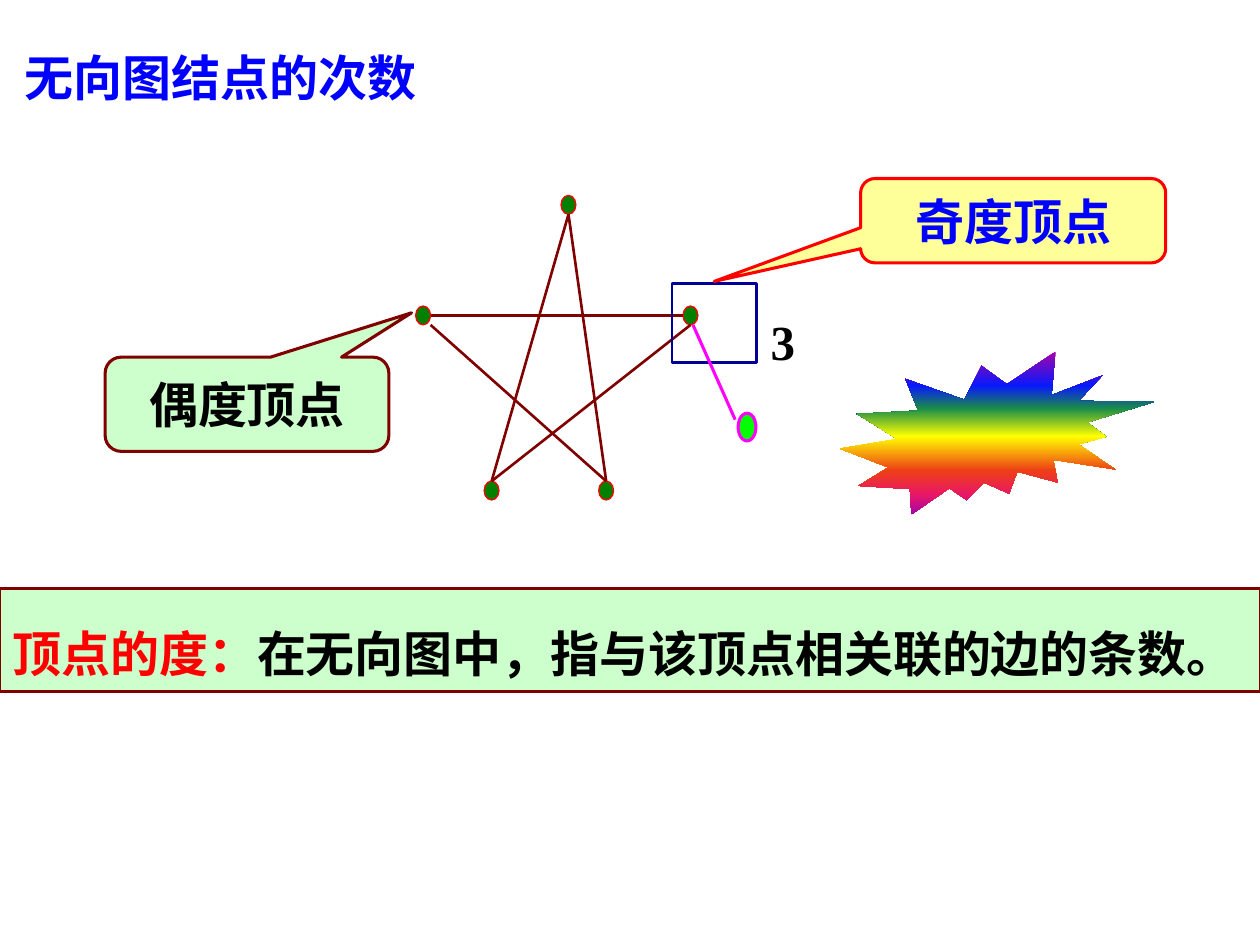
from lxml.etree import SubElement
from pptx import Presentation
from pptx.dml.color import RGBColor
from pptx.enum.shapes import MSO_CONNECTOR, MSO_SHAPE as Preset
from pptx.enum.text import MSO_ANCHOR as Anchor, PP_ALIGN as Align
from pptx.oxml.ns import qn
from pptx.util import Cm, Pt

FONT, FONT_SIZE = "Times New Roman", 28
BLUE, RED, BLACK, MAROON = "0000FF", "FF0000", "000000", "800000"
MINT, MAGENTA = "CCFFCC", "FF00FF"

TITLE = [("无向图结点的次数", BLUE)]
DEFINITION = [("顶点的度：", RED), ("在无向图中，指与该顶点相关联的边的条数。", BLACK)]
DEGREE = [("3", BLACK)]

VERTEX_SIZE = (0.3, 0.38)
VERTICES = {
    "right": (13.92, 6.36),
    "lower left": (9.91, 9.89),
    "left": (8.53, 6.36),
    "lower right": (12.22, 9.89),
    "top": (11.46, 4.13),
}
EDGES = [
    ("left", (1, 0), "right", (-1, 0)),
    ("top", (0, 1), "lower left", (0, -1)),
    ("top", (0, 1), "lower right", (0, -1)),
    ("left", (1, 1), "lower right", (0, -1)),
    ("lower left", (0, -1), "right", (0, 1)),
]
ODD_CALLOUT = ("奇度顶点", BLUE, (17.35, 3.6, 6.15, 1.7), "FFFF99", RED, (-0.98, 0.72))
EVEN_CALLOUT = ("偶度顶点", BLACK, (2.12, 7.2, 5.72, 1.9), MINT, MAROON, (0.58, -0.97))
RAINBOW = [(0, "A603AB"), (21, "0819FB"), (35, "1A8D48"), (52, "FFFF00"),
           (73, "EE3F17"), (88, "E81766"), (100, "A603AB")]


def rgb(code):
    return RGBColor.from_string(code)


def add_shape(shapes, preset, box, fill=None, outline=None, width=1.5):
    shape = shapes.add_shape(preset, *map(Cm, box))
    shape.shadow.inherit = False
    if fill:
        shape.fill.solid()
        shape.fill.fore_color.rgb = rgb(fill)
    else:
        shape.fill.background()
    if outline:
        shape.line.color.rgb = rgb(outline)
        shape.line.width = Pt(width)
    else:
        shape.line.fill.background()
    return shape


def add_line(shapes, start, end, color, width):
    line = shapes.add_connector(MSO_CONNECTOR.STRAIGHT, *map(Cm, (*start, *end)))
    line.line.color.rgb = rgb(color)
    line.line.width = Pt(width)
    SubElement(line._element.spPr, qn("a:effectLst"))


def write(shape, pieces, align=Align.LEFT, anchor=Anchor.TOP, wrap=True):
    frame = shape.text_frame
    frame.word_wrap = wrap
    frame.vertical_anchor = anchor
    paragraph = frame.paragraphs[0]
    paragraph.alignment = align
    for words, color in pieces:
        run = paragraph.add_run()
        run.text = words
        run.font.name = FONT
        run.font.size = Pt(FONT_SIZE)
        run.font.bold = True
        run.font.color.rgb = rgb(color)
    return frame


def add_callout(shapes, words, color, box, fill, outline, tip):
    callout = add_shape(shapes, Preset.ROUNDED_RECTANGULAR_CALLOUT, box, fill, outline, 1.75)
    callout.adjustments[0], callout.adjustments[1] = tip
    callout.adjustments[2] = 0.17
    write(callout, [(words, color)], Align.CENTER, Anchor.MIDDLE)


def vertex_side(vertex, side):
    return [center + direction * size / 2
            for center, direction, size in zip(VERTICES[vertex], side, VERTEX_SIZE)]


def fill_rainbow(shape):
    shape.fill.gradient()
    shape.fill.gradient_angle = 270
    stops = shape._element.spPr.find(qn("a:gradFill")).find(qn("a:gsLst"))
    stops.clear()
    for percent, color in RAINBOW:
        stop = SubElement(stops, qn("a:gs"), pos=str(percent * 1000))
        SubElement(stop, qn("a:srgbClr"), val=color)


def main():
    deck = Presentation()
    deck.slide_width, deck.slide_height = Cm(25.4), Cm(19.05)
    shapes = deck.slides.add_slide(deck.slide_layouts[6]).shapes

    title = shapes.add_textbox(*map(Cm, (0, 0.84, 10.26, 1.45)))
    write(title, TITLE).margin_left = Cm(0.5)

    definition = add_shape(shapes, Preset.RECTANGLE, (0, 11.86, 25.4, 2.08), MINT, MAROON)
    write(definition, DEFINITION).paragraphs[0].line_spacing = 1.5

    star = shapes.add_group_shape().shapes
    for vertex in VERTICES:
        corner = vertex_side(vertex, (-1, -1))
        add_shape(star, Preset.OVAL, (*corner, *VERTEX_SIZE), "008000", RED, 0.75)
    for start, start_side, end, end_side in EDGES:
        add_line(star, vertex_side(start, start_side), vertex_side(end, end_side), MAROON, 1.5)

    add_shape(shapes, Preset.RECTANGLE, (13.55, 5.71, 1.7, 1.6), outline="000099")
    add_shape(shapes, Preset.OVAL, (14.88, 8.33, 0.36, 0.56), "00FF00", MAGENTA, 1.75)
    add_line(shapes, (13.97, 6.55), (14.82, 8.46), MAGENTA, 1.75)

    add_callout(shapes, *ODD_CALLOUT)
    degree = shapes.add_textbox(*map(Cm, (15.27, 6.15, 1.02, 1.45)))
    write(degree, DEGREE, Align.CENTER, wrap=False)
    add_callout(shapes, *EVEN_CALLOUT)

    burst = add_shape(shapes, Preset.EXPLOSION2, (16.93, 7.09, 6.35, 3.28))
    fill_rainbow(burst)

    deck.save("out.pptx")


if __name__ == "__main__":
    main()
